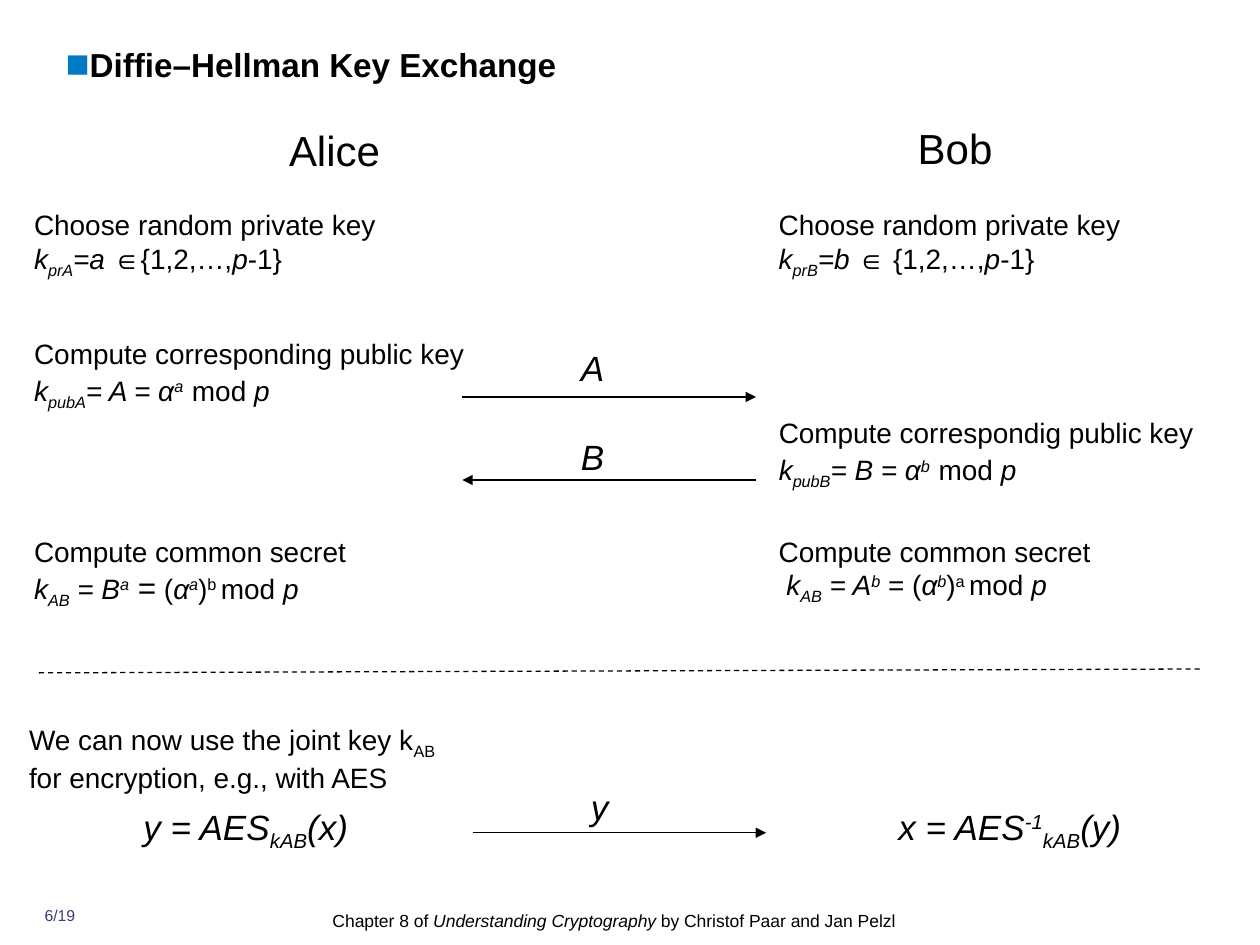
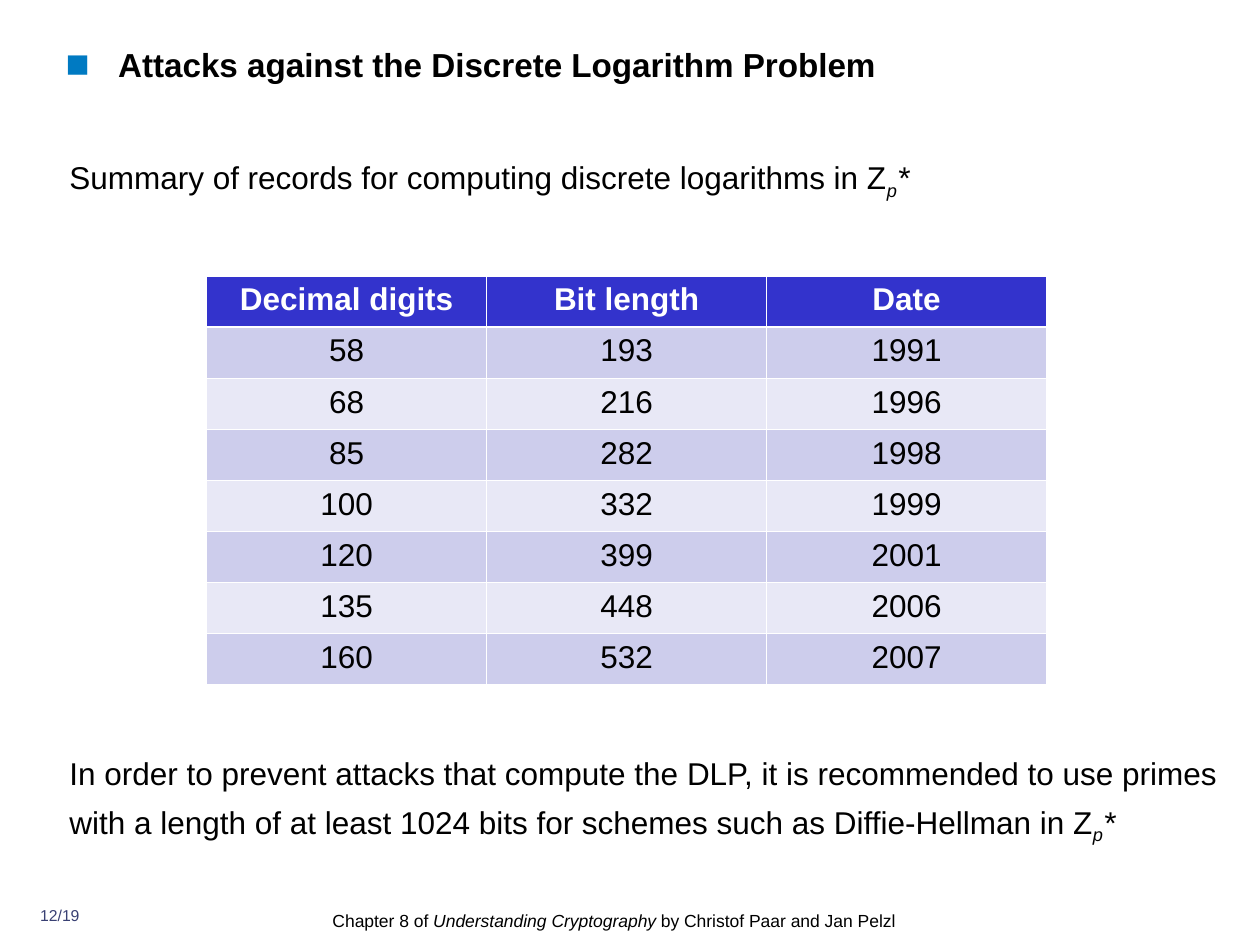
"""Build two slides on key exchange and the discrete logarithm problem."""
from lxml.etree import SubElement as Sub
from pptx import Presentation
from pptx.dml.color import RGBColor as RGB
from pptx.enum.dml import MSO_LINE as Dash
from pptx.enum.shapes import MSO_CONNECTOR as Conn
from pptx.enum.text import MSO_ANCHOR as Anchor, PP_ALIGN as Align
from pptx.oxml.ns import qn
from pptx.util import Pt

BLACK = RGB(0x00, 0x00, 0x00)
WHITE = RGB(0xFF, 0xFF, 0xFF)
BLUE = RGB(0x00, 0x7A, 0xC2)
SLATE = RGB(0x39, 0x40, 0x73)
HEAD = RGB(0x33, 0x33, 0xCC)
BANDS = RGB(0xCD, 0xCD, 0xEC), RGB(0xE8, 0xE8, 0xF6)

FONT = "Arial"
FRAME = {
    "margin_left": 0, "margin_top": 0, "margin_right": 0, "margin_bottom": 0,
    "word_wrap": True, "vertical_anchor": Anchor.TOP,
}
STYLES = {"i": {"italic": True}, "b": {"bold": True}, "L": {"size": Pt(18)}}
SHIFTS = {"_": "-25000", "^": "30000"}
BREAK = ("\n", "")
STAR = [("p", "i_"), ("*", "i")]
LEFT, RIGHT = 19.5, 445
TOTAL = 19

ALICE = [
    (118.8, 261, "Choose random private key",
     [("k", "i"), ("prA", "i_"), ("=a ", "i"), ("∈{1,2,…,", ""), ("p", "i"), ("-1}", "")]),
    (192.2, 256, "Compute corresponding public key",
     [("k", "i"), ("pubA", "i_"), ("= A = α", "i"), ("a", "i^"), (" ", "L"),
      ("mod ", ""), ("p", "i")]),
    (305.3, 255, "Compute common secret",
     [("k", "i"), ("AB", "i_"), (" = B", "i"), ("a", "i^"), (" =", "L"), (" (", ""),
      ("α", "i"), ("a", "i^"), (")", ""), ("b ", "^"), ("mod ", ""), ("p", "i")]),
]
BOB = [
    (118.8, 261, "Choose random private key",
     [("k", "i"), ("prB", "i_"), ("=b ", "i"), ("∈ {1,2,…,", ""), ("p", "i"), ("-1}", "")]),
    (237.6, 240, "Compute correspondig public key",
     [("k", "i"), ("pubB", "i_"), ("= B = α", "i"), ("b", "i^"), (" ", "L"),
      ("mod ", ""), ("p", "i")]),
    (305.3, 255, "Compute common secret",
     [(" k", "i"), ("AB", "i_"), (" = A", "i"), ("b", "i^"), (" = (", ""),
      ("α", "i"), ("b", "i^"), (")", ""), ("a ", "^"), ("mod ", ""), ("p", "i")]),
]
RECORDS = [
    ("Decimal digits", "Bit length", "Date"),
    (58, 193, 1991), (68, 216, 1996), (85, 282, 1998), (100, 332, 1999),
    (120, 399, 2001), (135, 448, 2006), (160, 532, 2007),
]


def apply(item, vals):
    """Set each attribute of item named in vals."""
    for key, val in vals.items():
        setattr(item, key, val)


def write(para, runs, size, color=BLACK):
    """Fill a paragraph with (text, style codes) runs."""
    for text, codes in runs:
        if text == "\n":
            para.add_line_break()
            Sub(para._p[-1], qn("a:rPr"), sz=str(size * 100))
            continue
        run = para.add_run()
        run.text = text
        run.font.color.rgb = color
        apply(run.font, {"name": FONT, "size": Pt(size)})
        for code in codes:
            apply(run.font, STYLES.get(code, {}))
            if code in SHIFTS:
                run.font._element.set("baseline", SHIFTS[code])


def place(shape, *rect):
    """Set left, top, width and height in points."""
    apply(shape, dict(zip(("left", "top", "width", "height"), map(Pt, rect))))


def label(slide, rect, runs, size, color=BLACK, **form):
    """Add a text box whose paragraph takes the given format."""
    frame = slide.shapes.add_textbox(*map(Pt, rect)).text_frame
    apply(frame, FRAME)
    para = frame.paragraphs[0]
    apply(para, form)
    write(para, runs, size, color)


def title(slide, text, hang):
    """Format the title placeholder with a square bullet."""
    shape = slide.shapes.title
    place(shape, 37.5, 25.2, 649.5, 47.5)
    apply(shape.text_frame, FRAME)
    para = shape.text_frame.paragraphs[0]
    para.alignment = Align.LEFT
    props = para._p.get_or_add_pPr()
    props.set("marL", str(Pt(hang)))
    props.set("indent", str(-Pt(hang)))
    Sub(Sub(props, qn("a:buClr")), qn("a:srgbClr"), val=str(BLUE))
    Sub(props, qn("a:buSzPct"), val="120000")
    Sub(props, qn("a:buFont"), typeface=FONT)
    Sub(props, qn("a:buChar"), char="■")
    write(para, [(text, "b")], 19)


def footer(slide, page):
    """Add the page count and the chapter line."""
    label(slide, (14.4, 517.7, 39.6, 17.3), [(f"{page}/{TOTAL}", "")], 9, SLATE,
          alignment=Align.CENTER)
    runs = [("Chapter 8 of ", ""), ("Understanding Cryptography", "i"),
            (" by Christof Paar and Jan Pelzl", "")]
    label(slide, (190, 517.7, 340.5, 20), runs, 10, line_spacing=1.2)


def start(deck, text, page, hang=0):
    """Add a slide with its title and footer."""
    slide = deck.slides.add_slide(deck.slide_layouts[5])
    title(slide, text, hang)
    footer(slide, page)
    return slide


def rule(slide, ends, arrow=True):
    """Draw a thin arrow, or a dashed line."""
    line = slide.shapes.add_connector(Conn.STRAIGHT, *map(Pt, ends))
    line.line.color.rgb = BLACK
    line.line.width = Pt(0.74)
    props = line._element.spPr
    if arrow:
        Sub(props.find(qn("a:ln")), qn("a:tailEnd"), type="triangle")
    else:
        line.line.dash_style = Dash.DASH
    Sub(props, qn("a:effectLst"))


def party(slide, name, rect, left, steps):
    """Add one party's name and protocol steps."""
    label(slide, rect, [(name, "")], 24, alignment=Align.CENTER, line_spacing=0.9)
    for top, width, head, runs in steps:
        label(slide, (left, top, width, 42), [(head, ""), BREAK, *runs], 16)


def edges(cell, row):
    """Give a cell white borders, thicker under the header."""
    props = cell._tc.get_or_add_tcPr()
    for side in "LRTB":
        thick = (row, side) in ((0, "B"), (1, "T"))
        line = Sub(props, qn(f"a:ln{side}"), w=str(Pt(1.47 if thick else 0.45)))
        Sub(Sub(line, qn("a:solidFill")), qn("a:srgbClr"), val=str(WHITE))


def grid(slide, rows, rect):
    """Add a banded table with a header row."""
    shape = slide.shapes.add_table(len(rows), len(rows[0]), *map(Pt, rect))
    for i, row in enumerate(rows):
        for j, val in enumerate(row):
            cell = shape.table.cell(i, j)
            edges(cell, i)
            cell.fill.solid()
            cell.fill.fore_color.rgb = BANDS[(i - 1) % 2] if i else HEAD
            para = cell.text_frame.paragraphs[0]
            para.alignment = Align.CENTER
            write(para, [(str(val), "" if i else "b")], 18, BLACK if i else WHITE)


def exchange(deck):
    """Build the key exchange slide."""
    slide = start(deck, "Diffie–Hellman Key Exchange", 6)
    party(slide, "Alice", (22.3, 74.2, 337.7, 50), LEFT, ALICE)
    party(slide, "Bob", (371.5, 73.4, 348.5, 26), RIGHT, BOB)
    for ends in ((264.2, 226.8, 432, 226.8), (432, 274.3, 264.2, 274.3),
                 (270, 475.9, 437.8, 475.9)):
        rule(slide, ends)
    rule(slide, (22.3, 384.5, 686.2, 382.3), arrow=False)
    for text, left, top in (("A", 332, 198), ("B", 332, 249.1), ("y", 337.7, 448.6)):
        label(slide, (left, top, 28, 24), [(text, "i")], 20)
    label(slide, (16.6, 412.6, 255, 41),
          [("We can now use the joint key k", ""), ("AB", "_"),
           (" for encryption, e.g., with AES", "")], 16)
    label(slide, (82, 460, 130, 27),
          [("y = AES", "i"), ("kAB", "i_"), ("(x)", "i")], 20)
    label(slide, (513.4, 460, 178.5, 27),
          [("x = AES", "i"), ("-1", "i^"), ("kAB", "i_"), ("(y)", "i")], 20)


def attacks(deck):
    """Build the slide of discrete logarithm records."""
    slide = start(deck, "Attacks against the Discrete Logarithm Problem", 12, 30)
    label(slide, (39.6, 84.2, 646.5, 128),
          [("Summary of records for computing discrete logarithms in Z", ""), *STAR],
          18, line_spacing=1.25)
    grid(slide, RECORDS, (118.1, 157.7, 480, 233.6))
    advice = ("In order to prevent attacks that compute the DLP, it is recommended "
              "to use primes with a length of at least 1024 bits for schemes such as "
              "Diffie-Hellman in Z")
    label(slide, (39.6, 425.5, 680.4, 60), [(advice, ""), *STAR], 18, line_spacing=1.25)


def main():
    """Build and save the deck."""
    deck = Presentation()
    apply(deck, {"slide_width": Pt(720), "slide_height": Pt(540)})
    exchange(deck)
    attacks(deck)
    deck.save("out.pptx")


main()
